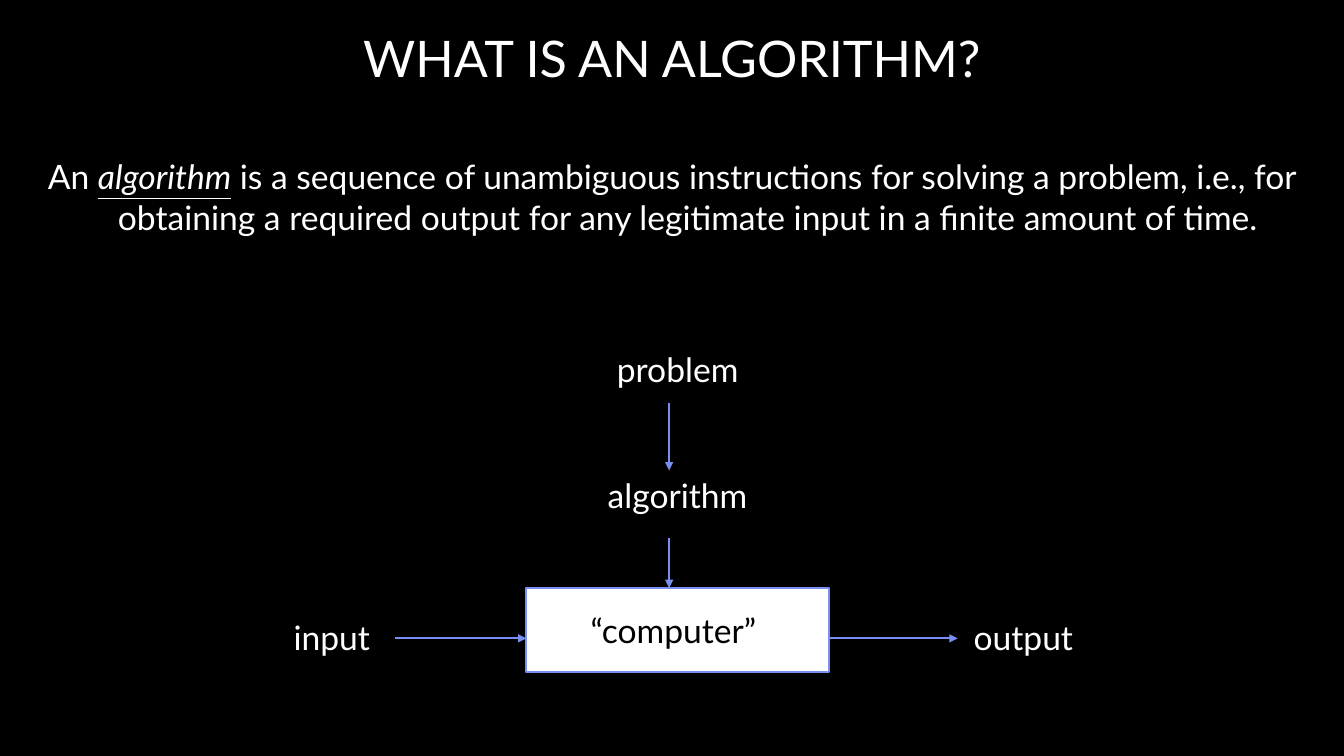
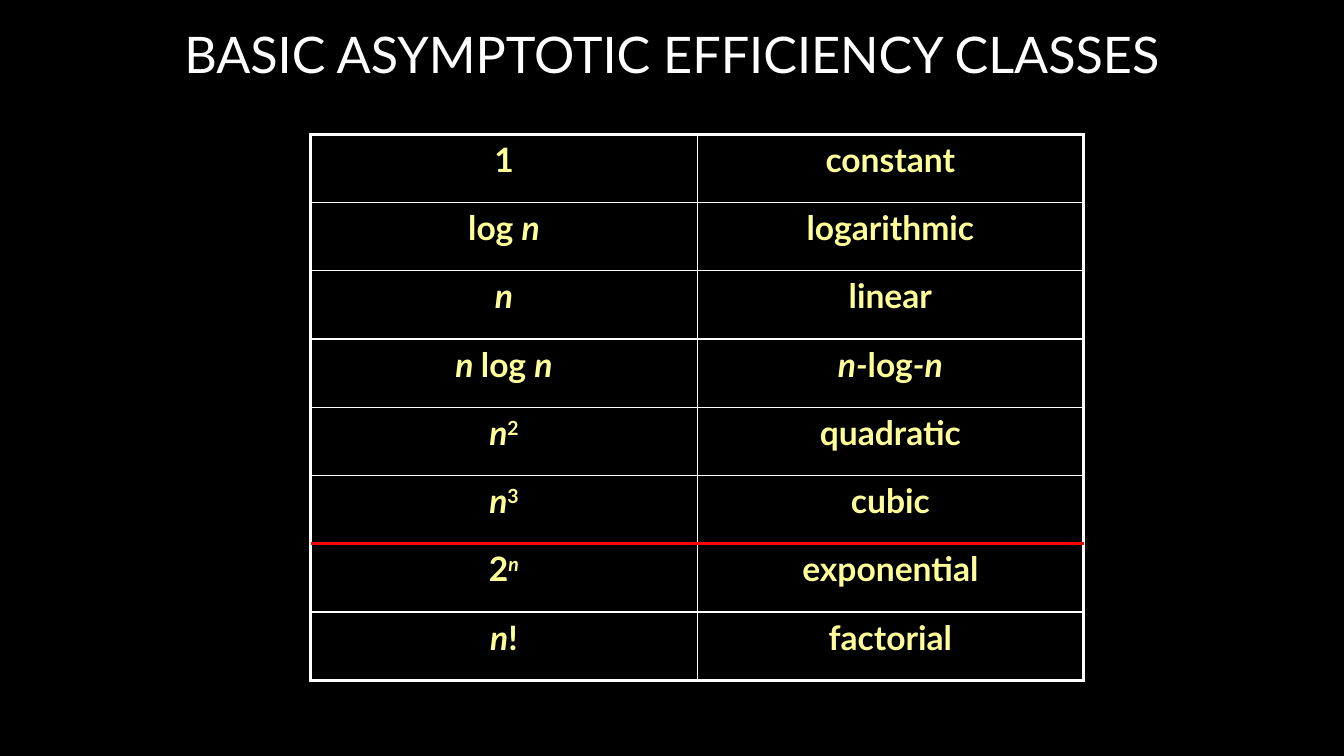
from lxml.etree import SubElement
from pptx import Presentation
from pptx.dml.color import RGBColor
from pptx.enum.shapes import MSO_CONNECTOR, MSO_SHAPE
from pptx.enum.text import MSO_ANCHOR, MSO_AUTO_SIZE, PP_ALIGN
from pptx.oxml.ns import qn
from pptx.util import Pt

COLORS = {"back": "000000", "text": "FFFFFF", "dark": "000000",
          "accent": "798FF2", "cell": "FFFF99", "limit": "FF0000"}
FONT = "Lato"
SLIDE_W, SLIDE_H = 960, 540
LAYOUT_BODY, LAYOUT_TITLE = 1, 5

# Run styles
ITALIC = {"italic": True}
SUPER = {"base": 30}

CLASSES = [
    ([("1", {})], [("constant", {})]),
    ([("log ", {}), ("n", ITALIC)], [("logarithmic", {})]),
    ([("n", ITALIC)], [("linear", {})]),
    ([("n ", ITALIC), ("log ", {}), ("n", ITALIC)],
     [("n-", ITALIC), ("log", {}), ("-n", ITALIC)]),
    ([("n", ITALIC), ("2", SUPER)], [("quadratic", {})]),
    ([("n", ITALIC), ("3", SUPER)], [("cubic", {})]),
    ([("2", {}), ("n", {**ITALIC, **SUPER})], [("exponential", {})]),
    ([("n", ITALIC), ("!", {})], [("factorial", {})]),
]
POLYNOMIAL_ROWS = 6


def rgb(name):
    return RGBColor.from_string(COLORS[name])


def add_text(p, text, size=24, color="text", bold=False, italic=False,
             underline=False, base=0):
    p.alignment = PP_ALIGN.CENTER
    r = p.add_run()
    r.text = text
    f = r.font
    f.name, f.size, f.bold, f.italic = FONT, Pt(size), bold, italic
    f.underline = underline
    f.color.rgb = rgb(color)
    if base:
        r._r.get_or_add_rPr().set("baseline", str(base * 1000))


def place(sp, x, y, w, h):
    sp.left, sp.top, sp.width, sp.height = Pt(x), Pt(y), Pt(w), Pt(h)


def add_slide(prs, layout, title, y, h):
    s = prs.slides.add_slide(prs.slide_layouts[layout])
    place(s.shapes.title, 0, y, SLIDE_W, h)
    tf = s.shapes.title.text_frame
    tf.auto_size = MSO_AUTO_SIZE.NONE
    tf.vertical_anchor = MSO_ANCHOR.MIDDLE
    add_text(tf.paragraphs[0], title, size=36)
    return s


def add_line(s, x1, y1, x2, y2, color="accent", width=1.5, arrow=True):
    c = s.shapes.add_connector(MSO_CONNECTOR.STRAIGHT,
                               Pt(x1), Pt(y1), Pt(x2), Pt(y2))
    c.line.color.rgb = rgb(color)
    c.line.width = Pt(width)
    spPr = c._element.spPr
    if arrow:
        SubElement(spPr.find(qn("a:ln")), qn("a:tailEnd"), type="triangle")
    SubElement(spPr, qn("a:effectLst"))


def add_label(s, text, cx, y, w, h=36):
    tf = s.shapes.add_textbox(Pt(cx - w / 2), Pt(y), Pt(w), Pt(h)).text_frame
    tf.word_wrap = True
    add_text(tf.paragraphs[0], text)


def add_definition(s, x, y, w, h):
    sp = s.placeholders[1]
    place(sp, x, y, w, h)
    tf = sp.text_frame
    tf.auto_size = MSO_AUTO_SIZE.NONE
    p = tf.paragraphs[0]
    add_text(p, "An ")
    add_text(p, "algorithm", italic=True, underline=True)
    add_text(p, " is a sequence of unambiguous instructions for solving a "
                "problem, i.e., for obtaining a required output for any "
                "legitimate input in a finite amount of time.")
    p.space_before, p.space_after = Pt(0), Pt(10)
    # Hanging indent without a bullet
    pPr = p._p.get_or_add_pPr()
    pPr.set("marL", str(Pt(22.5)))
    pPr.set("indent", str(Pt(-22.5)))
    SubElement(pPr, qn("a:buNone"))


def add_flow(s, x, y, w, h):
    box_w, box_h, label_w = 216, 60, 94
    cx = x + w / 2
    box_x, box_y = cx - box_w / 2, y + h - box_h
    # Computer
    sp = s.shapes.add_shape(MSO_SHAPE.RECTANGLE, Pt(box_x), Pt(box_y),
                            Pt(box_w), Pt(box_h))
    sp.shadow.inherit = False
    sp.fill.solid()
    sp.fill.fore_color.rgb = rgb("text")
    sp.line.color.rgb = rgb("accent")
    sp.line.width = Pt(1.5)
    tf = sp.text_frame
    tf.word_wrap = False
    tf.vertical_anchor = MSO_ANCHOR.MIDDLE
    add_text(tf.paragraphs[0], "“computer” ", color="dark")
    # From problem down to computer
    add_label(s, "problem", cx, y, 107)
    add_label(s, "algorithm", cx, y + 90, 119)
    for top, bottom in ((y + 42, y + 90), (y + 138, box_y)):
        add_line(s, cx - 6, top, cx - 6, bottom)
    # From input across to output
    mid = box_y + 36
    add_label(s, "input", x + label_w / 2, mid - 19, label_w)
    add_label(s, "output", x + w - label_w / 2, mid - 19, label_w)
    add_line(s, x + label_w - 2, mid, box_x, mid)
    add_line(s, box_x + box_w, mid, x + w - label_w, mid)


def set_borders(cell, widths):
    tcPr = cell._tc.get_or_add_tcPr()
    for i, (side, width) in enumerate(widths.items()):
        ln = SubElement(tcPr, qn("a:ln" + side), w=str(Pt(width)))
        fill = SubElement(ln, qn("a:solidFill"))
        SubElement(fill, qn("a:srgbClr"), val=COLORS["text"])
        tcPr.insert(i, ln)


def add_classes(s, x, y, w, h):
    n_rows, n_cols = len(CLASSES), len(CLASSES[0])
    table = s.shapes.add_table(n_rows, n_cols, Pt(x), Pt(y),
                               Pt(w), Pt(h)).table
    table.first_row = table.horz_banding = False
    for row in table.rows:
        row.height = Pt(h / n_rows)
    for i, row in enumerate(CLASSES):
        for j, runs in enumerate(row):
            cell = table.cell(i, j)
            cell.fill.background()
            for text, style in runs:
                add_text(cell.text_frame.paragraphs[0], text, color="cell",
                         bold=True, **style)
            outer = {"L": j == 0, "R": j == n_cols - 1,
                     "T": i == 0, "B": i == n_rows - 1}
            set_borders(cell, {k: 2.25 if v else 1 for k, v in outer.items()})
    # Limit between polynomial and faster growth
    limit = y + h / n_rows * POLYNOMIAL_ROWS
    add_line(s, x, limit, x + w, limit, color="limit", width=2.25, arrow=False)


def main():
    prs = Presentation()
    prs.slide_width, prs.slide_height = Pt(SLIDE_W), Pt(SLIDE_H)
    back = prs.slide_master.background.fill
    back.solid()
    back.fore_color.rgb = rgb("back")

    s = add_slide(prs, LAYOUT_BODY, "WHAT IS AN ALGORITHM?", -0.7, 83)
    add_definition(s, 0, 108, SLIDE_W, 91)
    add_flow(s, 190, 246, 588, 234)

    s = add_slide(prs, LAYOUT_TITLE, "BASIC ASYMPTOTIC EFFICIENCY CLASSES",
                  0, 75.6)
    add_classes(s, 222, 96, 552, 390)
    prs.save("out.pptx")


if __name__ == "__main__":
    main()
